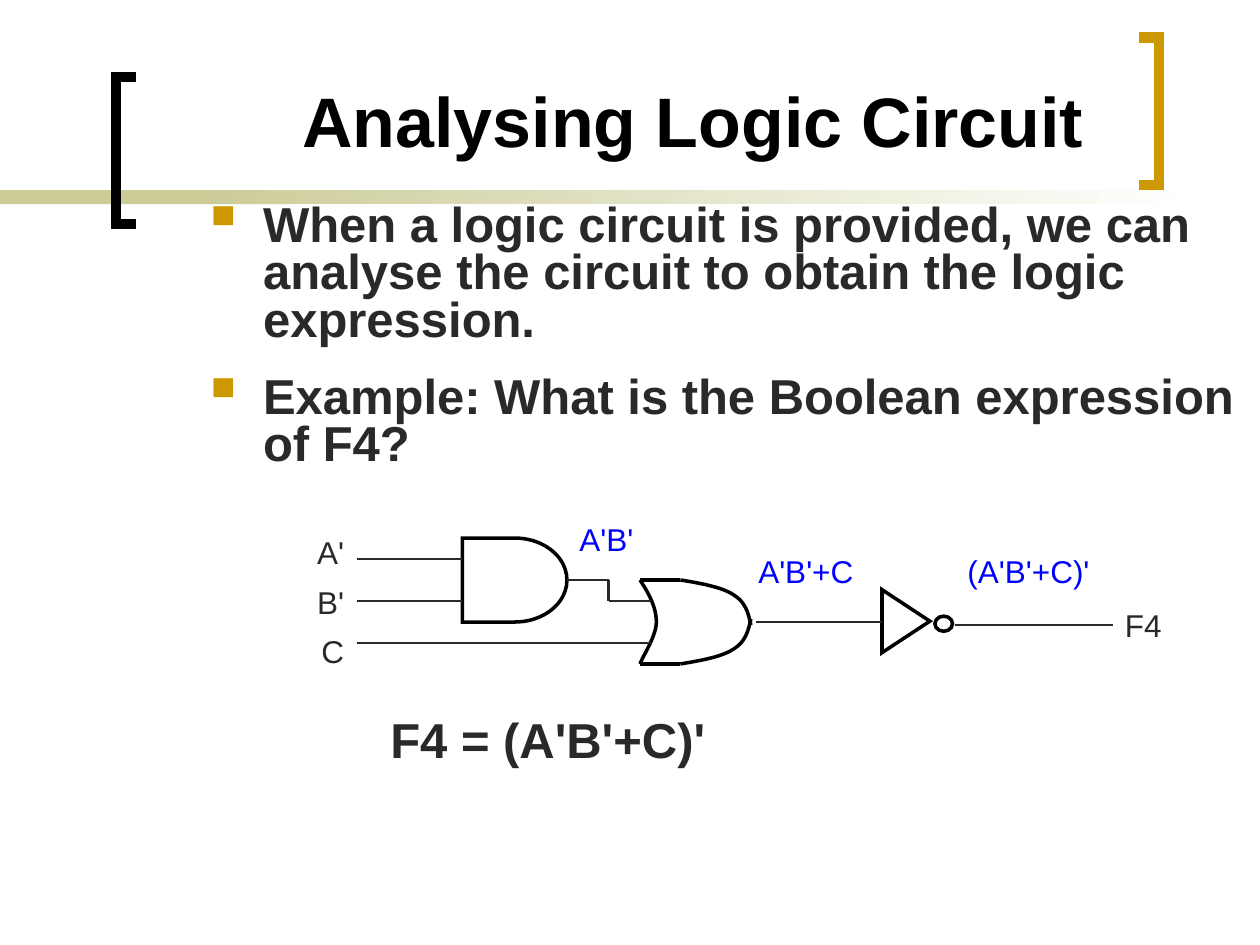
import pptx
import pptx.util
import pptx.dml.color
import pptx.enum.shapes
import pptx.enum.text
import pptx.oxml
import pptx.oxml.ns
from lxml import etree

Inches, Pt = pptx.util.Inches, pptx.util.Pt
KIND = pptx.enum.shapes.MSO_SHAPE
ALIGN = pptx.enum.text.PP_ALIGN
ANCHOR = pptx.enum.text.MSO_ANCHOR
FIT = pptx.enum.text.MSO_AUTO_SIZE

# Theme
THEME = {
    "font": "Arial", "black": "000000", "ink": "292929", "blue": "0000FF",
    "gold": "CC9900", "sand": "CCCC99", "white": "FFFFFF",
    "title": 40, "body": 28, "label": 18, "frame": 6, "gate": 2, "wire": 1.5,
}

# Content
TITLE = "Analysing Logic Circuit"
POINTS = [
    ("When a logic circuit is provided, we can analyse the circuit "
     "to obtain the logic expression.", 7),
    ("Example: What is the Boolean expression of F4?", 17.5),
]
INPUTS = ["A'", "B'", "C"]
OUTPUT = "F4"
ANSWER = "F4 = (A'B'+C)'"
TERMS = [  # text, left, top, width
    ("A'B'", 4.5, 4.08, 0.75),
    ("A'B'+C", 5.92, 4.33, 1),
    ("(A'B'+C)'", 7.58, 4.33, 1.25),
]
FRAMES = [  # spine x, tip x, top, colour
    (0.92, 1.08, 0.61, "black"),
    (9.2, 9.04, 0.3, "gold"),
]
FRAME_H = 1.17

# Circuit grid: rows are a fixed step apart
STEP = 1 / 6
TOP = 4.27
ROW = [TOP + STEP * n for n in range(7)]
IN_X, AND_X, AND_R, BEND, OR_X, OR_IN = 2.83, 3.67, 4.5, 4.83, 5.08, 5.17
WIRES = [
    (IN_X, ROW[1], AND_X, ROW[1]),
    (IN_X, ROW[3], AND_X, ROW[3]),
    (IN_X, ROW[5], OR_IN, ROW[5]),
    (BEND, ROW[2], BEND, ROW[3]),
    (BEND, ROW[3], OR_IN, ROW[3]),
    (6, ROW[4], 7, ROW[4]),
]
MID = ROW[4]
BACK = [(OR_X, ROW[2]), (5.15, 4.71), (5.21, 4.82), (5.21, MID),
        (5.21, 5.05), (5.1, 5.21), (OR_X, ROW[6])]
FRONT = [(5.4, ROW[2]), (5.56, 4.63), (5.73, 4.66), (5.82, 4.72),
         (5.92, 4.78), (5.94, 4.87), (5.96, 4.96)]

deck = pptx.Presentation()
deck.slide_width, deck.slide_height = Inches(10), Inches(7.5)
slide = deck.slides.add_slide(deck.slide_layouts[5])
shapes = slide.shapes


def put(obj, vals):
    for name, val in vals.items():
        setattr(obj, name, val)


def hue(name):
    return pptx.dml.color.RGBColor.from_string(THEME[name])


def pen(shape, color, width):
    shape.line.color.rgb = hue(color)
    shape.line.width = Pt(THEME[width])
    miter = etree.SubElement(shape.line._get_or_add_ln(),
                             pptx.oxml.ns.qn("a:miter"))
    miter.set("lim", "800000")


def write(frame, lines, size, color, bold=False, **form):
    """Fill a frame with paragraphs given as (text, space before)."""
    for n, (text, gap) in enumerate(lines):
        para = frame.paragraphs[0] if n == 0 else frame.add_paragraph()
        put(para, {"space_before": Pt(gap), **form})
        run = para.add_run()
        run.text = text
        put(run.font, {"name": THEME["font"], "size": Pt(THEME[size]),
                       "bold": bold})
        run.font.color.rgb = hue(color)


def label(box, lines, *look, **form):
    text = shapes.add_textbox(*map(Inches, box))
    text.text_frame.word_wrap = True
    write(text.text_frame, lines, *look, **form)
    return text


def solid(kind, *box):
    shape = shapes.add_shape(kind, *map(Inches, box))
    shape.shadow.inherit = False
    return shape


def gate(kind, *box, turn=0):
    shape = solid(kind, *box)
    shape.fill.background()
    shape.rotation = turn
    pen(shape, "black", "gate")
    return shape


def trace(points, color, width):
    spots = [(Inches(x), Inches(y)) for x, y in points]
    build = shapes.build_freeform(*spots[0], scale=1.0)
    build.add_line_segments(spots[1:], close=False)
    shape = build.convert_to_shape()
    shape.shadow.inherit = False
    shape.fill.background()
    pen(shape, color, width)


def curve(knots, count=12):
    """Sample a chain of cubic curves as points."""
    points = [knots[0]]
    for k in range(0, len(knots) - 1, 3):
        for n in range(1, count + 1):
            t = n / count
            mix = ((1 - t) ** 3, 3 * t * (1 - t) ** 2,
                   3 * t * t * (1 - t), t ** 3)
            points.append(tuple(
                sum(m * p[axis] for m, p in zip(mix, knots[k:k + 4]))
                for axis in (0, 1)))
    return points


def wire(x1, y1, x2, y2, color="ink", width="wire"):
    line = shapes.add_connector(pptx.enum.shapes.MSO_CONNECTOR.STRAIGHT,
                                *map(Inches, (x1, y1, x2, y2)))
    pen(line, color, width)
    etree.SubElement(line._element.spPr, pptx.oxml.ns.qn("a:effectLst"))
    return line


# Band under the title
for left, width in ((0, 2.33), (1.58, 7.92)):
    band = solid(KIND.RECTANGLE, left, 1.51, width, 0.11)
    band.line.fill.background()
    if left == 0:
        band.fill.solid()
        band.fill.fore_color.rgb = hue("sand")
    else:
        band.fill.gradient()
        band.fill.gradient_angle = 0
        for stop, name, spot in zip(band.fill.gradient_stops,
                                    ("sand", "white"), (0, 1)):
            stop.color.rgb = hue(name)
            stop.position = spot

# Brackets
for spine, tip, top, color in FRAMES:
    low = top + FRAME_H
    trace([(tip, top), (spine, top), (spine, low), (tip, low)],
          color, "frame")

# Title
title = shapes.title
put(title, {"left": Inches(1.25), "top": Inches(0.5),
            "width": Inches(8.5), "height": Inches(0.83)})
put(title.text_frame, {"vertical_anchor": ANCHOR.BOTTOM, "word_wrap": True,
                       "auto_size": FIT.NONE})
write(title.text_frame, [(TITLE, 0)], "title", "black", True,
      alignment=ALIGN.CENTER)

# Bullet points
body = label((1.5, 1.58, 8.5, 2.33), POINTS, "body", "ink", True,
             line_spacing=0.8)
for para in body.text_frame.paragraphs:
    props = para._p.get_or_add_pPr()
    put_in = str(Inches(0.49))
    props.set("marL", put_in)
    props.set("indent", "-" + put_in)
    color = etree.SubElement(props, pptx.oxml.ns.qn("a:buClr"))
    etree.SubElement(color, pptx.oxml.ns.qn("a:srgbClr"), val=THEME["gold"])
    etree.SubElement(props, pptx.oxml.ns.qn("a:buSzPct"), val="120000")
    etree.SubElement(props, pptx.oxml.ns.qn("a:buChar"), char="▪")

# Circuit labels
for text, left, top, width in TERMS:
    label((left, top, width, 0.4), [(text, 11.2)], "label", "blue")
label((2.33, 4.18, 0.5, 1.19), [(name, 6.8) for name in INPUTS],
      "label", "ink", alignment=ALIGN.RIGHT)
out = label((8.83, 4.76, 0.58, 0.4), [(OUTPUT, 6.8)], "label", "ink")

# AND gate and inverter
both = gate(KIND.FLOWCHART_DELAY, AND_X, TOP, AND_R - AND_X, 4 * STEP)
gate(KIND.FLOWCHART_MERGE, 6.94, 4.74, 0.5, 0.38, turn=270)
gate(KIND.OVAL, 7.42, 4.89, 0.14, 0.12)

# OR gate: lower half mirrors the upper half
trace(curve(BACK), "black", "gate")
for y in (ROW[2], ROW[6]):
    wire(OR_X, y, 5.4, y, "black", "gate")
for half in (FRONT, [(x, 2 * MID - y) for x, y in FRONT]):
    trace(curve(half), "black", "gate")

# Wires
for ends in WIRES:
    wire(*ends)
wire(AND_R, ROW[2], BEND, ROW[2]).begin_connect(both, 3)
wire(7.58, 4.96, 8.83, 4.96).end_connect(out, 1)

# Answer
label((3, 5.58, 5.33, 0.57), [(ANSWER, 17.5)], "body", "ink", True)

deck.save("out.pptx")
